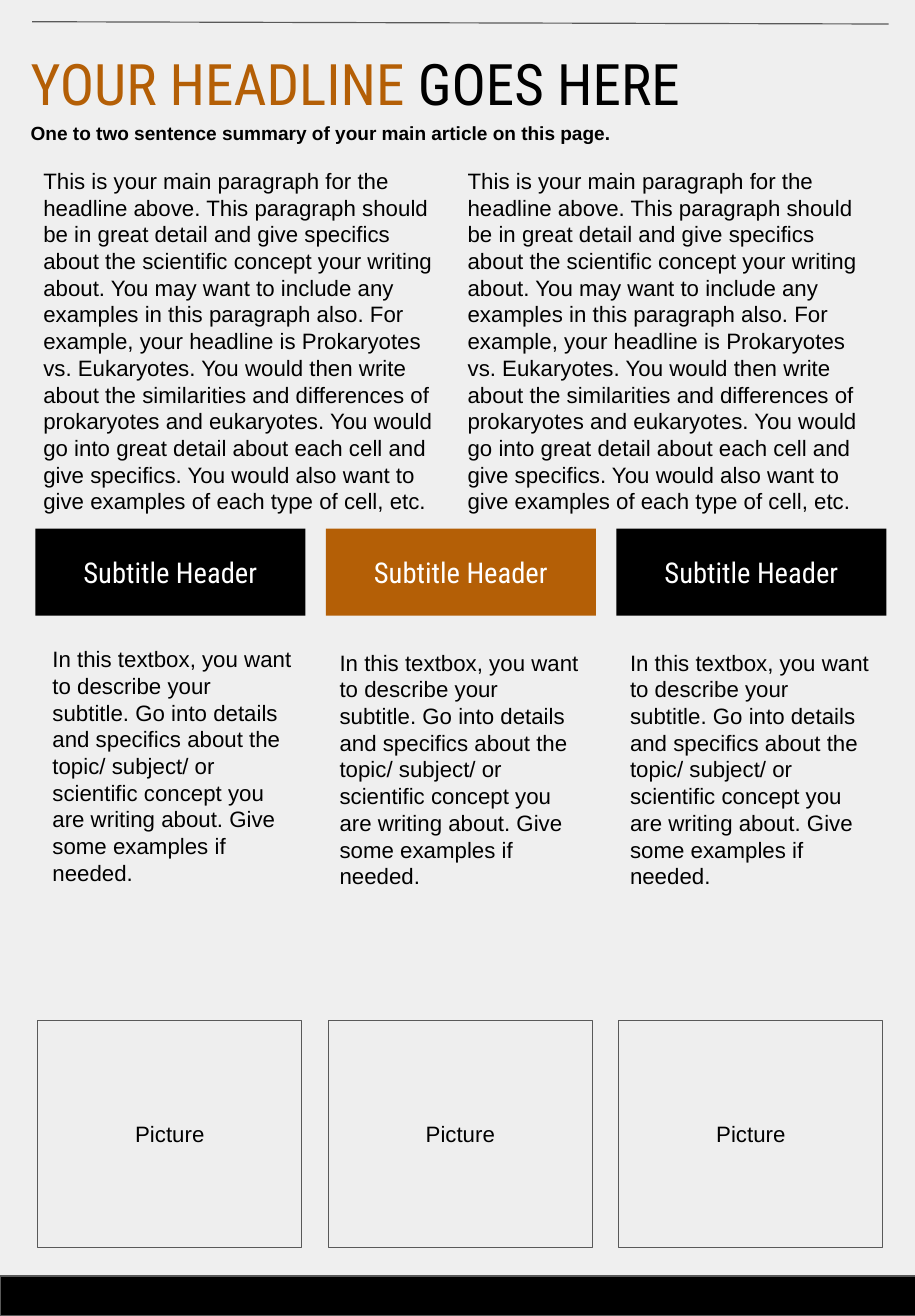
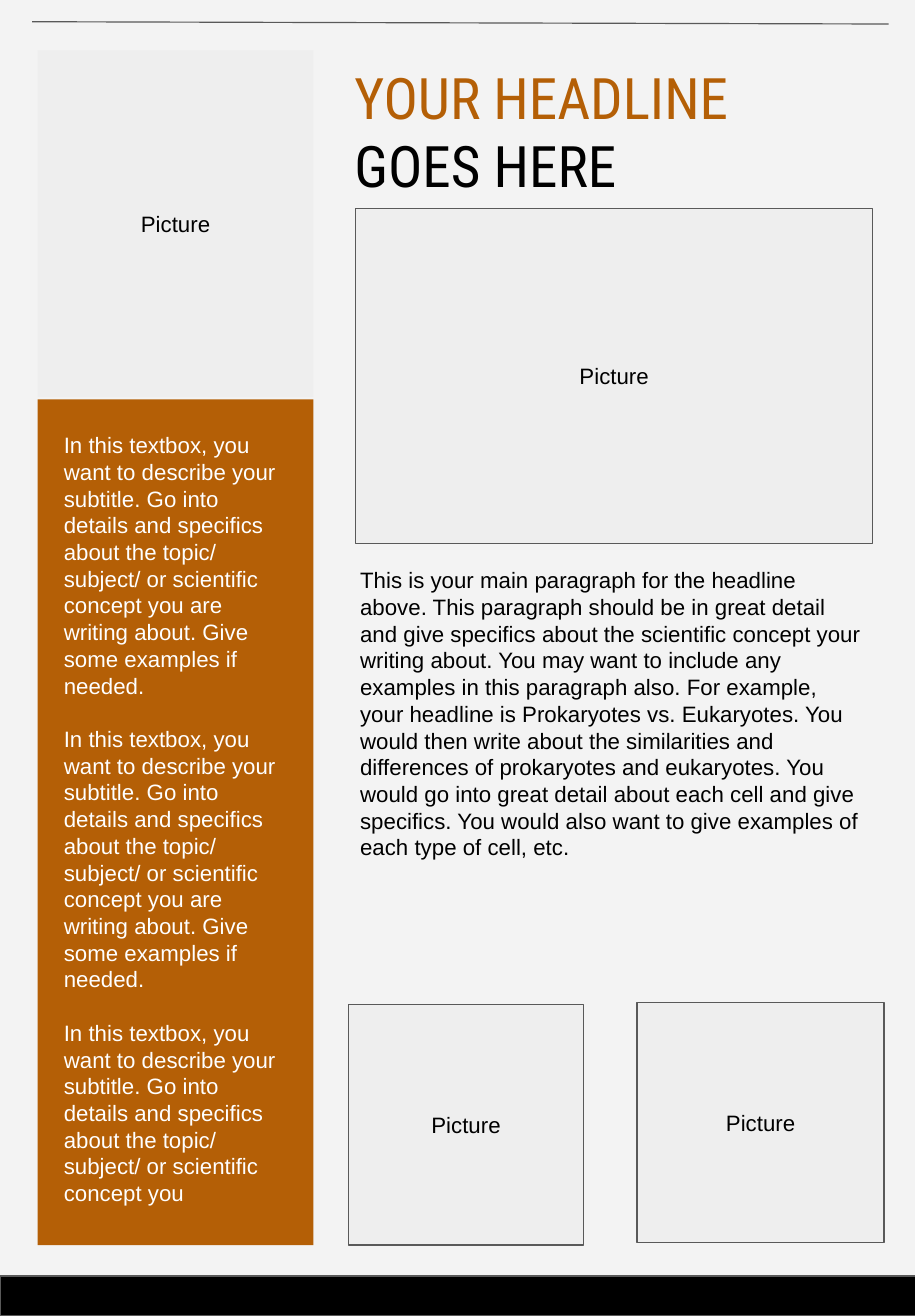
from pptx import Presentation
from pptx.dml.color import RGBColor
from pptx.enum.shapes import MSO_CONNECTOR as Connector, MSO_SHAPE as Shape
from pptx.enum.text import MSO_ANCHOR as Anchor, PP_ALIGN as Align
from pptx.oxml.ns import qn
from pptx.util import Inches, Pt
from lxml.etree import SubElement

COLORS = {"ink": "000000", "accent": "B45F06", "light": "FFFFFF", "frame": "EEEEEE",
          "line": "595959", "page_one": "EFEFEF", "page_two": "F3F3F3"}
BODY = {"name": "Arial", "size": Pt(14)}
SUMMARY = {"name": "Arial", "size": Pt(12), "bold": True}
HEADLINE = {"name": "Roboto Condensed", "size": Pt(36)}
SUBTITLE = {"name": "Roboto Condensed", "size": Pt(18)}
INSETS = {f"margin_{side}": Inches(0.1) for side in ("left", "top", "right", "bottom")}
CENTERED = {"vertical_anchor": Anchor.MIDDLE}

ARTICLE = (
    "This is your main paragraph for the headline above. This paragraph should be in great "
    "detail and give specifics about the scientific concept your writing about. You may want "
    "to include any examples in this paragraph also. For example, your headline is Prokaryotes "
    "vs. Eukaryotes. You would then write about the similarities and differences of prokaryotes "
    "and eukaryotes. You would go into great detail about each cell and give specifics. You "
    "would also want to give examples of each type of cell, etc.")
TOPIC_OPENING = (
    "In this textbox, you want to describe your subtitle. Go into details and specifics about "
    "the topic/ subject/ or scientific concept you ")
TOPIC = TOPIC_OPENING + "are writing about. Give some examples if needed. "
HEADLINE_PARTS = [("YOUR HEADLINE ", "accent"), ("GOES HERE", "ink")]


def rgb(name):
    """Return the named colour."""
    return RGBColor.from_string(COLORS[name])


def apply(target, values):
    """Set every attribute in a dict of format values."""
    for attribute, value in values.items():
        setattr(target, attribute, value)


def write(frame, paragraphs, font, centered=False, gap=0):
    """Fill a text frame with paragraphs, each a list of (text, colour) runs."""
    apply(frame, {"word_wrap": True, **INSETS, **(CENTERED if centered else {})})
    for index, runs in enumerate(paragraphs):
        paragraph = frame.paragraphs[0] if index == 0 else frame.add_paragraph()
        paragraph.alignment = Align.CENTER if centered else Align.LEFT
        if index and gap:
            paragraph.space_before = Pt(gap)
        for text, color in runs:
            run = paragraph.add_run()
            run.text = text
            apply(run.font, font)
            run.font.color.rgb = rgb(color)


def add_text(slide, box, paragraphs, font, **layout):
    """Add a wrapped text box."""
    textbox = slide.shapes.add_textbox(*map(Inches, box))
    write(textbox.text_frame, paragraphs, font, **layout)


def add_panel(slide, box, fill, outlined=False):
    """Add a filled rectangle, with a thin outline if asked."""
    panel = slide.shapes.add_shape(Shape.RECTANGLE, *map(Inches, box))
    panel.shadow.inherit = False
    panel.fill.solid()
    panel.fill.fore_color.rgb = rgb(fill)
    if outlined:
        panel.line.color.rgb = rgb("line")
        panel.line.width = Pt(0.75)
    else:
        panel.line.fill.background()
    return panel


def add_picture_frame(slide, box, outlined=True):
    """Add a picture area with its label in the middle."""
    left, top, width, height = box
    label_width, label_height = 1.45, 0.76
    add_panel(slide, box, "frame", outlined)
    label_box = (left + (width - label_width) / 2, top + (height - label_height) / 2,
                 label_width, label_height)
    add_text(slide, label_box, [[("Picture", "ink")]], BODY, centered=True)


def add_page(deck, background):
    """Add a page with its background, footer band and top rule."""
    slide = deck.slides.add_slide(deck.slide_layouts[6])
    slide.background.fill.solid()
    slide.background.fill.fore_color.rgb = rgb(background)
    add_panel(slide, (0, 11.15, 8.05, 0.35), "ink", outlined=True)
    rule = slide.shapes.add_connector(Connector.STRAIGHT, *map(Inches, (0.28, 0.19, 7.77, 0.21)))
    rule.line.color.rgb = rgb("line")
    rule.line.width = Pt(0.75)
    SubElement(rule._element.spPr, qn("a:effectLst"))
    return slide


def add_topic_column(slide, box, header_fill, text_shift):
    """Add a subtitle header, its description and a picture area below."""
    left, top, width, height = box
    frame_left, frame_width, frame_height = left + 0.02, 2.31, 1.98
    header = add_panel(slide, (left, top, width, 0.76), header_fill)
    write(header.text_frame, [[("Subtitle Header", "light")]], SUBTITLE, centered=True)
    add_text(slide, (frame_left + text_shift, top + 0.95 - text_shift, frame_width, 3.17),
             [[(TOPIC, "ink")]], BODY)
    add_picture_frame(slide, (frame_left, top + height - frame_height, frame_width, frame_height))


def add_sidebar(slide, box):
    """Add a picture area above a coloured column of text."""
    left, top, width, height = box
    story_top = top + 3.05
    add_picture_frame(slide, (left, top, width, 3.03), outlined=False)
    add_panel(slide, (left, story_top, width, top + height - story_top), "accent")
    add_text(slide, (left + 0.13, story_top + 0.18, 2.16, 6.73),
             [[(text, "light")] for text in (TOPIC, TOPIC, TOPIC_OPENING)], BODY, gap=16.8)


def build_columns_page(deck):
    """Build the page with a two-column article and three topics."""
    slide = add_page(deck, "page_one")
    add_text(slide, (0.17, 0.32, 7.71, 0.76), [HEADLINE_PARTS], HEADLINE)
    summary = "One to two sentence summary of your main article on this page. "
    add_text(slide, (0.17, 0.96, 7.43, 0.53), [[(summary, "ink")]], SUMMARY)
    for column in range(2):
        add_text(slide, (0.28 + 3.71 * column, 1.36, 3.61, 3.45), [[(ARTICLE, "ink")]], BODY)
    topics = [("ink", 0.03), ("accent", 0), ("ink", 0)]
    for column, (fill, text_shift) in enumerate(topics):
        add_topic_column(slide, (0.31 + 2.54 * column, 4.62, 2.36, 6.28), fill, text_shift)


def build_sidebar_page(deck):
    """Build the page with a sidebar beside the article."""
    slide = add_page(deck, "page_two")
    add_sidebar(slide, (0.33, 0.44, 2.41, 10.44))
    add_text(slide, (3, 0.44, 5.65, 1.28), [[part] for part in HEADLINE_PARTS], HEADLINE)
    add_text(slide, (3.05, 4.85, 4.62, 2.72), [[(ARTICLE, "ink")]], BODY)
    for box in ((3.11, 1.82, 4.52, 2.93), (3.05, 8.78, 2.05, 2.1), (5.57, 8.76, 2.16, 2.1)):
        add_picture_frame(slide, box)


newsletter = Presentation()
apply(newsletter, {"slide_width": Inches(8), "slide_height": Inches(11.5)})
build_columns_page(newsletter)
build_sidebar_page(newsletter)
newsletter.save("out.pptx")
